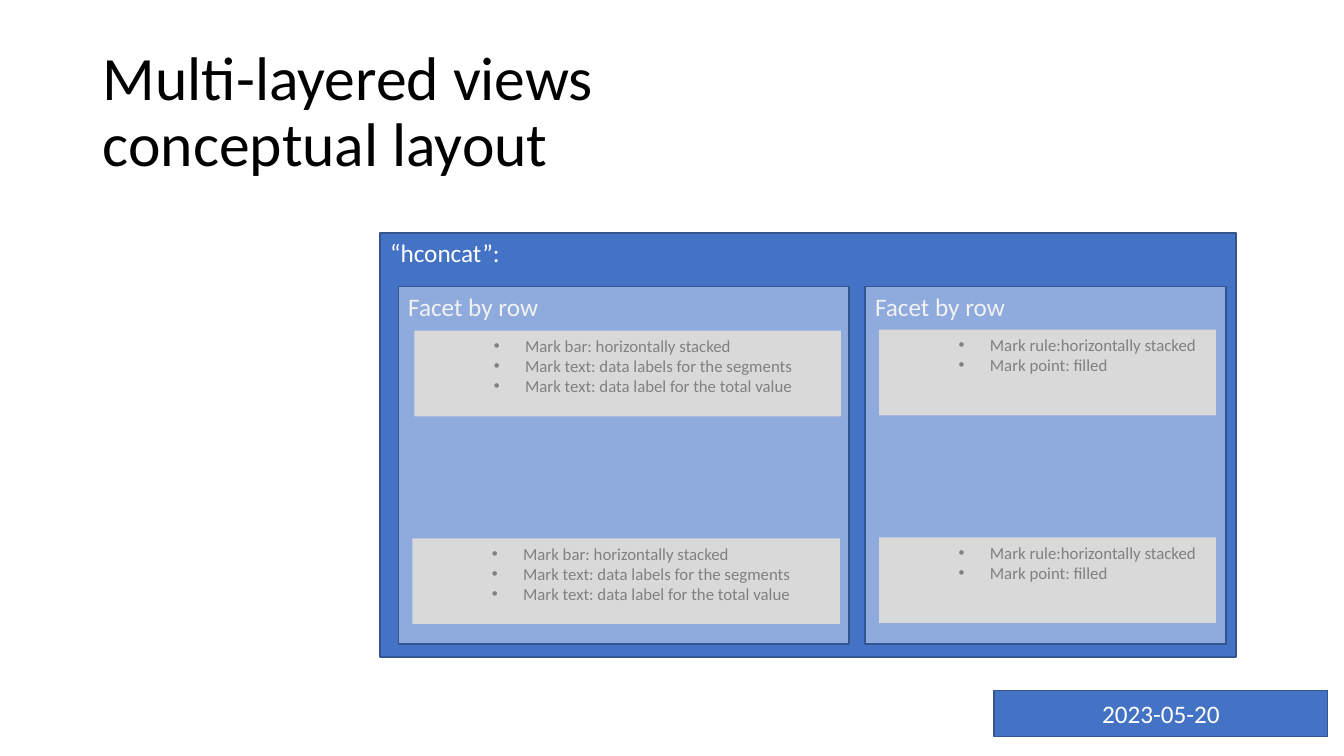
from lxml import etree
from pptx import Presentation
from pptx import util as u
from pptx.dml.color import RGBColor
from pptx.enum import shapes, text
from pptx.oxml.ns import qn

TITLE = "Multi-layered views\vconceptual layout"
CONCAT = "“hconcat”:"
FACET = "Facet by row"
DATE = "2023-05-20"
BAR_MARKS = [
    "Mark bar: horizontally stacked",
    "Mark text: data labels for the segments",
    "Mark text: data label for the total value",
]
RULE_MARKS = ["Mark rule:horizontally stacked", "Mark point: filled"]

BLACK = RGBColor(0x00, 0x00, 0x00)
WHITE = RGBColor(0xFF, 0xFF, 0xFF)
BLUE = RGBColor(0x44, 0x72, 0xC4)
LIGHT_BLUE = RGBColor(0x8F, 0xAA, 0xDC)
EDGE = RGBColor(0x32, 0x54, 0x91)
PALE = RGBColor(0xF2, 0xF2, 0xF2)
SILVER = RGBColor(0xD9, 0xD9, 0xD9)
GREY = RGBColor(0x80, 0x80, 0x80)

FONT = "Calibri"
PX = 9144  # 100 px to the inch
FACET_TOP, FACET_HEIGHT = 284, 355
MARK_HEIGHT, ROW_STEP = 85, 206

# Facet left and width, then left and width of each row's marks, first top, lines
FACETS = [
    (858, 358, [(872, 334), (872, 334)], 327, RULE_MARKS),
    (395, 447, [(411, 423), (409, 424)], 328, BAR_MARKS),
]


def px(*lengths):
    return [u.Emu(length * PX) for length in lengths]


def apply(target, values):
    for name, value in values.items():
        setattr(target, name, value)


def write(para, words, size, color, **layout):
    para.text = words
    apply(para, {"alignment": text.PP_ALIGN.LEFT, **layout})
    for span in para.runs:
        apply(span.font, {"name": FONT, "size": u.Pt(size)})
        span.font.color.rgb = color


def add_bullet(para):
    props = para._p.get_or_add_pPr()
    apply_indent = {"marL": u.Inches(1), "indent": u.Inches(-0.31)}
    for name, value in apply_indent.items():
        props.set(name, str(int(value)))
    etree.SubElement(props, qn("a:buFont"), typeface="Arial")
    etree.SubElement(props, qn("a:buChar"), char="•")


def add_box(page, place, fill, edge=None, anchor=text.MSO_ANCHOR.TOP):
    box = page.shapes.add_shape(shapes.MSO_SHAPE.RECTANGLE, *px(*place))
    box.shadow.inherit = False
    box.fill.solid()
    box.fill.fore_color.rgb = fill
    if edge is None:
        box.line.fill.background()
    else:
        box.line.color.rgb = edge
        box.line.width = u.Pt(1)
    apply(box.text_frame, {"word_wrap": True, "vertical_anchor": anchor})
    return box.text_frame


def add_marks(page, place, lines):
    frame = add_box(page, place, SILVER)
    for index, line in enumerate(lines):
        para = frame.add_paragraph() if index else frame.paragraphs[0]
        add_bullet(para)
        write(para, line, 12, GREY)


def main():
    deck = Presentation()
    apply(deck, dict(zip(("slide_width", "slide_height"), px(1333, 750))))
    page = deck.slides.add_slide(deck.slide_layouts[5])

    title = page.shapes.title
    apply(title, dict(zip(("left", "top", "width", "height"), px(92, 40, 1150, 145))))
    apply(title.text_frame, {
        "word_wrap": True,
        "auto_size": text.MSO_AUTO_SIZE.NONE,
        "vertical_anchor": text.MSO_ANCHOR.MIDDLE,
    })
    write(title.text_frame.paragraphs[0], TITLE, 44, BLACK, line_spacing=0.9)

    concat = add_box(page, (377, 231, 849, 421), BLUE, EDGE)
    write(concat.paragraphs[0], CONCAT, 18, WHITE)

    for left, width, rows, first_top, lines in FACETS:
        facet = add_box(page, (left, FACET_TOP, width, FACET_HEIGHT), LIGHT_BLUE, EDGE)
        write(facet.paragraphs[0], FACET, 18, PALE)
        for row, (mark_left, mark_width) in enumerate(rows):
            top = first_top + row * ROW_STEP
            add_marks(page, (mark_left, top, mark_width, MARK_HEIGHT), lines)

    date = add_box(page, (986, 685, 331, 46), BLUE, EDGE, text.MSO_ANCHOR.MIDDLE)
    write(date.paragraphs[0], DATE, 18, WHITE, alignment=text.PP_ALIGN.CENTER)

    deck.save("out.pptx")


if __name__ == "__main__":
    main()
